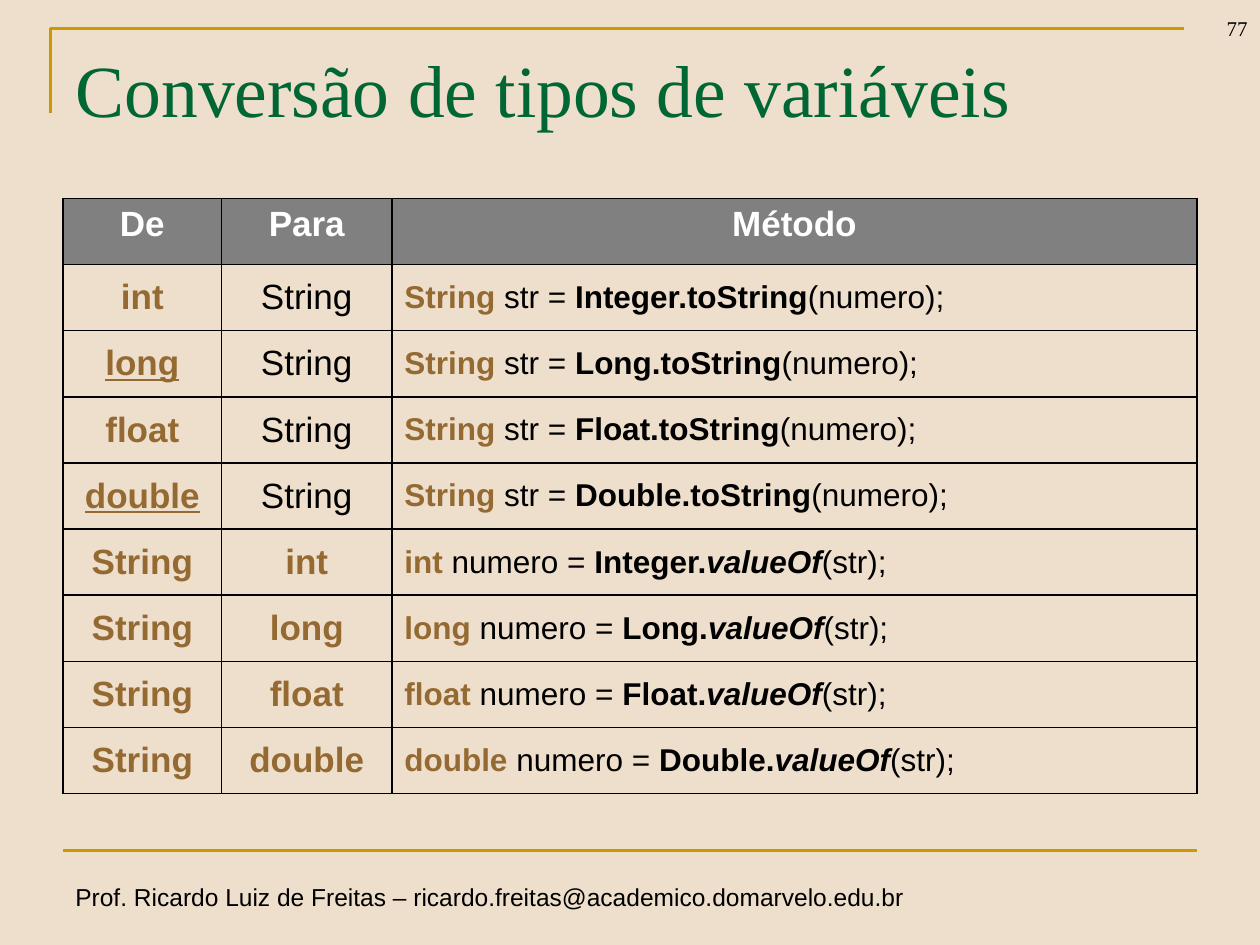
from lxml import etree
from pptx import Presentation, util as u
from pptx.dml.color import RGBColor
from pptx.enum import shapes, text
from pptx.oxml import ns

COLORS = {"background": "EEDFCC", "rule": "CC9900", "title": "006633", "ink": "000000",
          "keyword": "946A32", "header": "808080", "header_text": "FFFFFF"}
WIDTH, HEIGHT = u.Inches(10), u.Inches(7.5)
TYPES = [("int", "Integer"), ("long", "Long"), ("float", "Float"), ("double", "Double")]
UNDERLINED = ("long", "double")
COLUMN_SHARES = (0.14, 0.15, 0.71)


def area(left, top, width, height):
    return [round(share * side) for share, side in
            zip((left, top, width, height), (WIDTH, HEIGHT, WIDTH, HEIGHT))]


def color(key):
    return RGBColor.from_string(COLORS[key])


def style(run, size, ink="ink", font="Arial", bold=False, italic=False, underline=False):
    run.font.size = u.Pt(size)
    run.font.name = font
    run.font.color.rgb = color(ink)
    run.font.bold, run.font.italic, run.font.underline = bold, italic, underline


def draw_rule(rule):
    rule.line.color.rgb = color("rule")
    rule.line.width = u.Pt(1.5)


def add_title(slide, box):
    title = slide.shapes.title
    title.left, title.top, title.width, title.height = box
    frame = title.text_frame
    frame.text = "Conversão de tipos de variáveis"
    frame.vertical_anchor = text.MSO_ANCHOR.TOP
    frame.auto_size = text.MSO_AUTO_SIZE.NONE
    frame.paragraphs[0].alignment = text.PP_ALIGN.LEFT
    style(frame.paragraphs[0].runs[0], 42, "title", "Times New Roman")


def add_corner(slide, box):
    left, top, width, height = box
    builder = slide.shapes.build_freeform(left, top + height)
    builder.add_line_segments([(left, top), (left + width, top)], close=False)
    corner = builder.convert_to_shape()
    corner.fill.background()
    corner.shadow.inherit = False
    draw_rule(corner)


def add_page_number(slide, box):
    frame = slide.shapes.add_textbox(*box).text_frame
    frame.word_wrap = True
    frame.vertical_anchor = text.MSO_ANCHOR.BOTTOM
    frame.text = "77"
    frame.paragraphs[0].alignment = text.PP_ALIGN.RIGHT
    style(frame.paragraphs[0].runs[0], 12, font="Times New Roman")


def add_footer(slide, box):
    left, top, width, height = box
    rule = slide.shapes.add_connector(shapes.MSO_CONNECTOR.STRAIGHT, left, top, left + width, top)
    draw_rule(rule)
    etree.SubElement(rule._element.spPr, ns.qn("a:effectLst"))
    gap = round(height * 0.38)
    frame = slide.shapes.add_textbox(left, top + gap, width, height - gap).text_frame
    frame.word_wrap = True
    frame.text = "Prof. Ricardo Luiz de Freitas – ricardo.freitas@academico.domarvelo.edu.br"
    style(frame.paragraphs[0].runs[0], 14)


def add_borders(cell):
    properties = cell._tc.get_or_add_tcPr()
    for side in ("a:lnL", "a:lnR", "a:lnT", "a:lnB"):
        border = etree.SubElement(properties, ns.qn(side), w=str(u.Pt(1)))
        fill = etree.SubElement(border, ns.qn("a:solidFill"))
        etree.SubElement(fill, ns.qn("a:srgbClr"), val=COLORS["ink"])


def fill_cell(cell, parts, size, centered, header=False):
    add_borders(cell)
    if header:
        cell.fill.solid()
        cell.fill.fore_color.rgb = color("header")
    else:
        cell.fill.background()
        cell.vertical_anchor = text.MSO_ANCHOR.MIDDLE
    paragraph = cell.text_frame.paragraphs[0]
    paragraph.alignment = text.PP_ALIGN.CENTER if centered else text.PP_ALIGN.LEFT
    for words, look in parts:
        run = paragraph.add_run()
        run.text = words
        style(run, size, **look)


def conversion_rows():
    keyword = {"ink": "keyword", "bold": True}
    bold, plain = {"bold": True}, {}
    for name, wrapper in TYPES:
        source = {**keyword, "underline": name in UNDERLINED}
        yield ([(name, source)], [("String", plain)],
               [("String ", keyword), ("str = ", plain),
                (f"{wrapper}.toString", bold), ("(numero);", plain)])
    for name, wrapper in TYPES:
        yield ([("String", keyword)], [(name, keyword)],
               [(f"{name} ", keyword), ("numero = ", plain), (f"{wrapper}.", bold),
                ("valueOf", {"bold": True, "italic": True}), ("(str);", plain)])


def add_conversions(slide, box):
    rows = list(conversion_rows())
    table = slide.shapes.add_table(len(rows) + 1, len(COLUMN_SHARES), *box).table
    table.first_row = table.horz_banding = False
    for column, share in zip(table.columns, COLUMN_SHARES):
        column.width = round(box[2] * share)
    for row in table.rows:
        row.height = round(box[3] / len(table.rows))
    heading = {"ink": "header_text", "bold": True}
    for index, label in enumerate(("De", "Para", "Método")):
        fill_cell(table.cell(0, index), [(label, heading)], 20, True, header=True)
    for number, (source, target, method) in enumerate(rows, 1):
        fill_cell(table.cell(number, 0), source, 20, True)
        fill_cell(table.cell(number, 1), target, 20, True)
        fill_cell(table.cell(number, 2), method, 18, False)


def main():
    deck = Presentation()
    deck.slide_width, deck.slide_height = WIDTH, HEIGHT
    slide = deck.slides.add_slide(deck.slide_layouts[5])
    slide.background.fill.solid()
    slide.background.fill.fore_color.rgb = color("background")
    add_footer(slide, area(0.05, 0.9, 0.9, 0.07))
    add_corner(slide, area(0.04, 0.03, 0.9, 0.09))
    add_title(slide, area(0.05, 0.04, 0.9, 0.17))
    add_page_number(slide, area(0.93, -0.02, 0.07, 0.07))
    add_conversions(slide, area(0.05, 0.21, 0.9, 0.63))
    deck.save("out.pptx")


if __name__ == "__main__":
    main()
